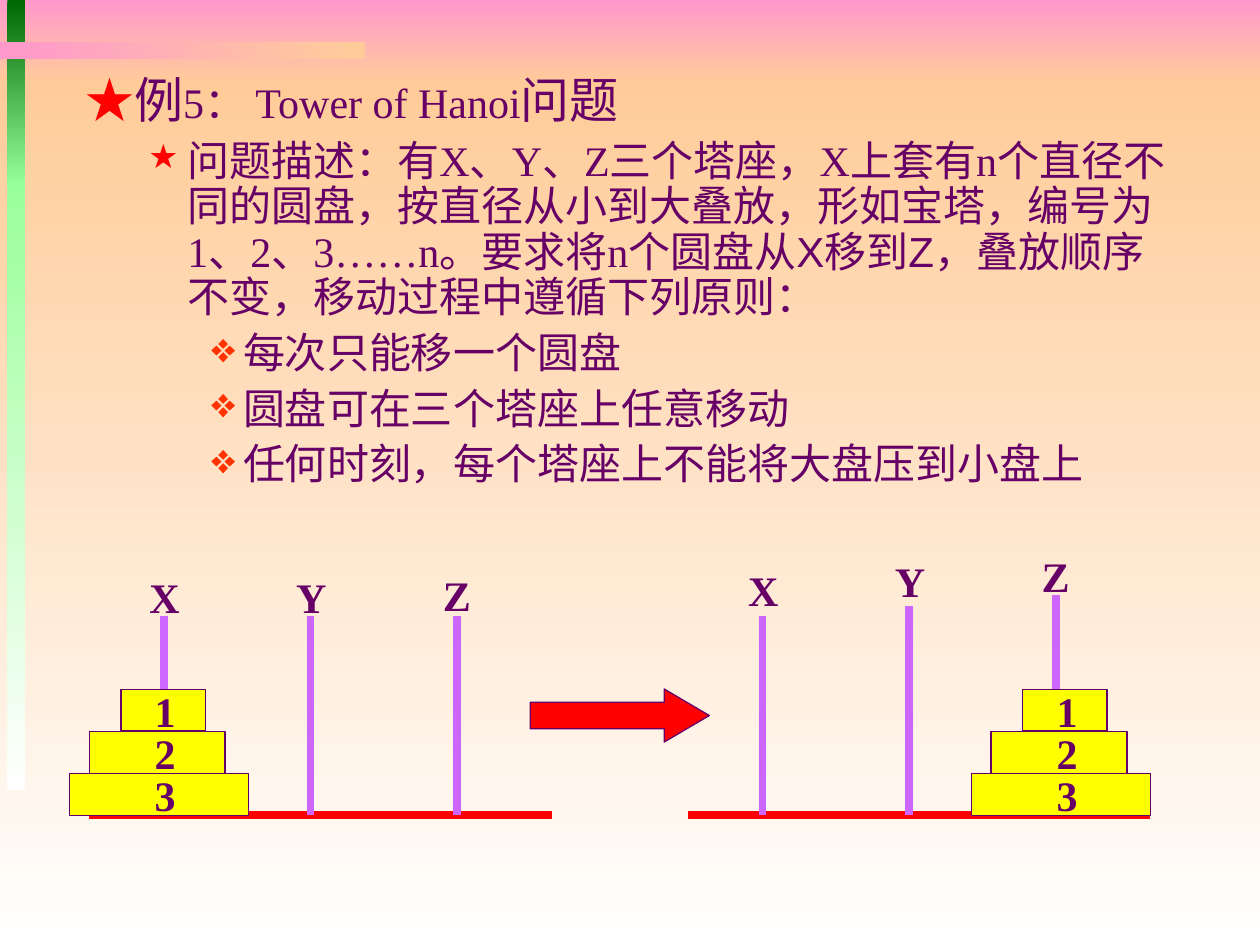
from lxml import etree
from pptx import Presentation
from pptx.dml.color import RGBColor
from pptx.enum.shapes import MSO_CONNECTOR, MSO_SHAPE
from pptx.oxml.ns import qn
from pptx.util import Cm, Pt

RECT = MSO_SHAPE.RECTANGLE
ARROW = MSO_SHAPE.RIGHT_ARROW
LINE = MSO_CONNECTOR.STRAIGHT
SERIF, SANS = "Times New Roman", "Arial"
PLUM, RED, PINK, PEACH = "660066", "FF0000", "FF99CC", "FFCC99"
LIME, WHITE = "99FF99", "FFFFFF"

BANDS = [
    (0, 0, 25.4, 1.7, PINK, PEACH, 270),
    (0, 1.7, 25.4, 17.35, PEACH, WHITE, 270),
    (0.15, 0, 0.36, 3.75, "006600", LIME, 270),
    (0.15, 3.7, 0.36, 12.22, LIME, WHITE, 270),
    (0, 0.84, 7.35, 0.36, PINK, PEACH, 0),
]
TITLE = [("★", SERIF, 28, RED), ("例", SANS, 28, PLUM),
         ("5： Tower of Hanoi", SERIF, 24, PLUM), ("问题", SANS, 28, PLUM)]
STORY = ["问题描述：有", "X、Y、Z", "三个塔座，", "X", "上套有", "n",
         "个直径不同的圆盘，按直径从小到大叠放，形如宝塔，编号为",
         "1、2、3……n", "。要求将", "n",
         "个圆盘从X移到Z，叠放顺序不变，移动过程中遵循下列原则："]
RULES = ["每次只能移一个圆盘", "圆盘可在三个塔座上任意移动",
         "任何时刻，每个塔座上不能将大盘压到小盘上"]
DISKS = [(1.04, 1.7), (0.4, 2.74), (0, 3.61)]


def color(code):
    return RGBColor.from_string(code)


def shape(slide, kind, left, top, width, height):
    item = slide.shapes.add_shape(kind, Cm(left), Cm(top), Cm(width), Cm(height))
    item.shadow.inherit = False
    return item


def block(slide, kind, box, fill):
    item = shape(slide, kind, *box)
    item.fill.solid()
    item.fill.fore_color.rgb = color(fill)
    item.line.color.rgb = color(PLUM)
    item.line.width = Pt(0.75)
    return item


def stroke(slide, start, end, tint):
    item = slide.shapes.add_connector(LINE, *[Cm(n) for n in start + end])
    item.line.color.rgb = color(tint)
    item.line.width = Pt(4.5)
    etree.SubElement(item._element.spPr, qn("a:effectLst"))


def label(slide, text, left, top, width):
    box = slide.shapes.add_textbox(Cm(left), Cm(top), Cm(width), Cm(1.27))
    para = box.text_frame.paragraphs[0]
    para.text = text
    style(para.font, SERIF, 24, PLUM)
    para.font.bold = True


def style(font, name, size, tint):
    font.name = name
    font.size = Pt(size)
    font.color.rgb = color(tint)


def backdrop(slide):
    for *box, first, last, angle in BANDS:
        band = shape(slide, RECT, *box)
        band.fill.gradient()
        band.fill.gradient_angle = angle
        for stop, tint in zip(band.fill.gradient_stops, (first, last)):
            stop.color.rgb = color(tint)
        band.line.fill.background()


def layout(para, level, margin, hang, before):
    para.level = level
    para.line_spacing = 0.9
    para.space_before = Pt(before)
    props = para._p.get_or_add_pPr()
    props.set("marL", str(Cm(margin)))
    props.set("indent", str(-Cm(hang)))
    return props


def bullet(props, mark, tint, scale):
    hue = etree.SubElement(props, qn("a:buClr"))
    etree.SubElement(hue, qn("a:srgbClr"), val=tint)
    etree.SubElement(props, qn("a:buSzPct"), val=str(scale * 1000))
    etree.SubElement(props, qn("a:buChar"), char=mark)


def body(slide, left, top, width, height):
    box = slide.shapes.add_textbox(Cm(left), Cm(top), Cm(width), Cm(height))
    frame = box.text_frame
    frame.word_wrap = True
    para = frame.paragraphs[0]
    layout(para, 0, 0.95, 0.95, 7)
    for text, *look in TITLE:
        run = para.add_run()
        run.text = text
        style(run.font, *look)

    para = frame.add_paragraph()
    bullet(layout(para, 1, 2.06, 0.79, 6), "★", RED, 80)
    style(para.font, SANS, 24, PLUM)
    for order, text in enumerate(STORY):
        run = para.add_run()
        run.text = text
        run.font.name = SERIF if order % 2 else SANS

    for rule in RULES:
        para = frame.add_paragraph()
        para.text = rule
        bullet(layout(para, 2, 3.18, 0.64, 6), "❖", "FF3300", 100)
        style(para.font, SANS, 24, PLUM)


def stand(slide, left, base, width, tops, heads):
    stroke(slide, (left, base), (left + width, base), RED)
    for order, (name, top, head) in enumerate(zip("XYZ", tops, heads)):
        mid = left + 1.5 + 2.96 * order
        stroke(slide, (mid, top), (mid, base), "CC66FF")
        label(slide, name, mid - 0.54, head, 1.11)


def pile(slide, left, top):
    for order, (shift, width) in enumerate(DISKS):
        level = top + 0.85 * order
        block(slide, RECT, (left + shift, level, width, 0.84), "FFFF00")
        label(slide, str(order + 1), left + 1.47, level - 0.21, 0.91)


def main():
    deck = Presentation()
    deck.slide_width, deck.slide_height = Cm(25.4), Cm(19.05)
    slide = deck.slides.add_slide(deck.slide_layouts[6])
    backdrop(slide)
    body(slide, 1.47, 1.42, 22.3, 9.09)
    stand(slide, 1.8, 16.43, 9.32, (12.42, 12.42, 12.42), (11.4, 11.4, 11.35))
    stand(slide, 13.87, 16.43, 9.32, (12.42, 12.22, 11.99), (11.25, 11.07, 10.97))
    pile(slide, 1.4, 13.9)
    pile(slide, 19.58, 13.9)
    arrow = block(slide, ARROW, (10.69, 13.89, 3.61, 1.07), RED)
    arrow.adjustments[0] = 0.5
    arrow.adjustments[1] = 0.85
    deck.save("out.pptx")


if __name__ == "__main__":
    main()
